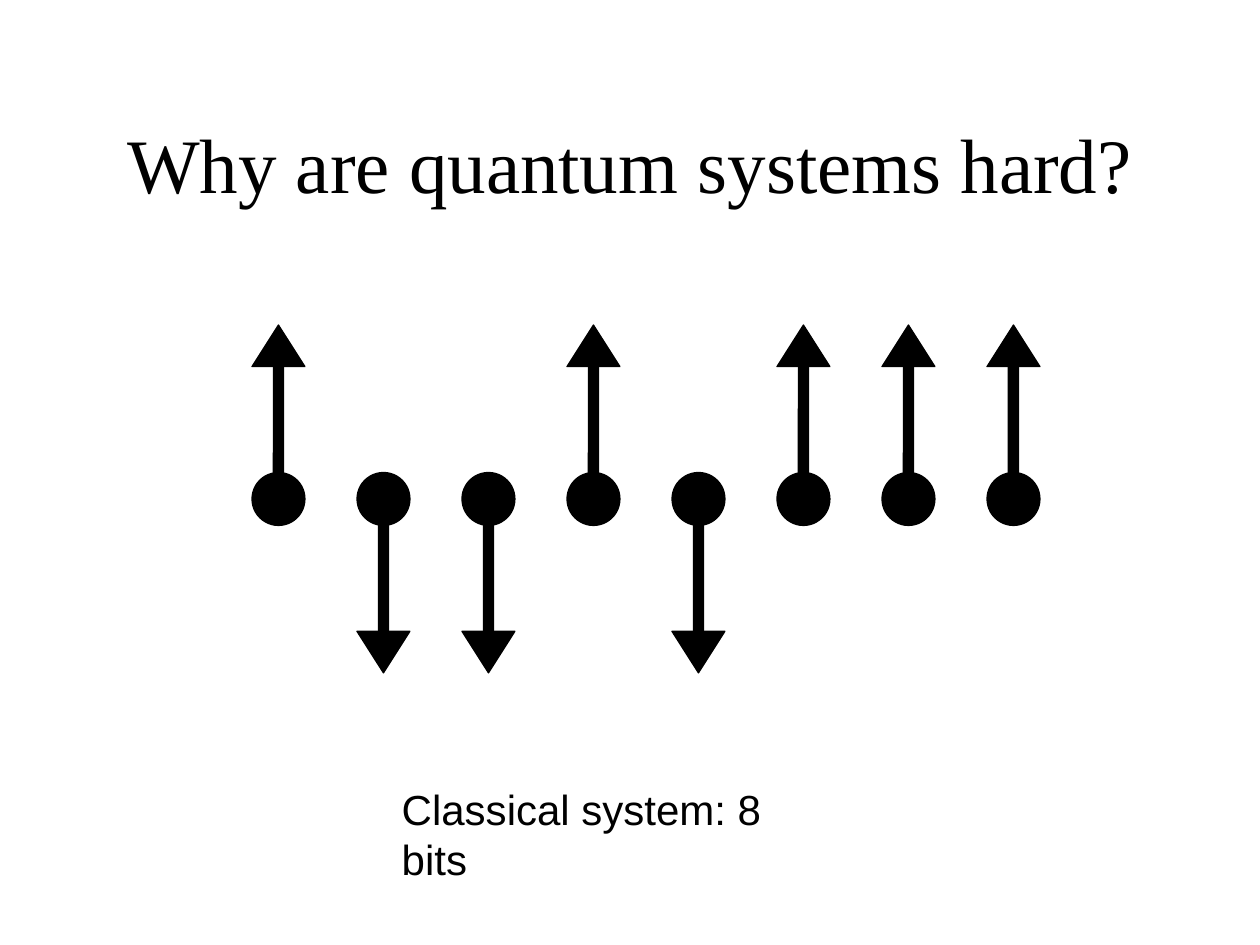
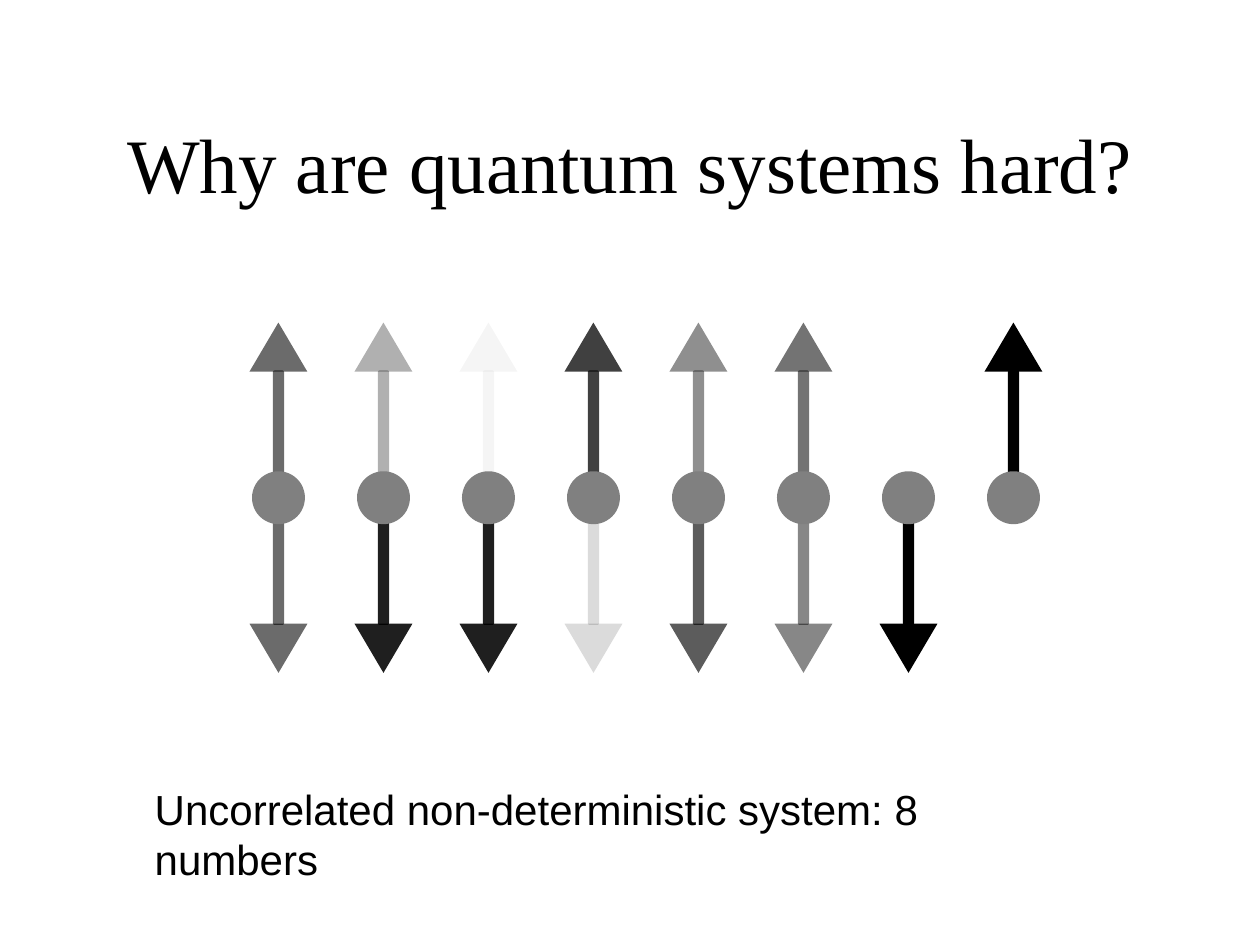
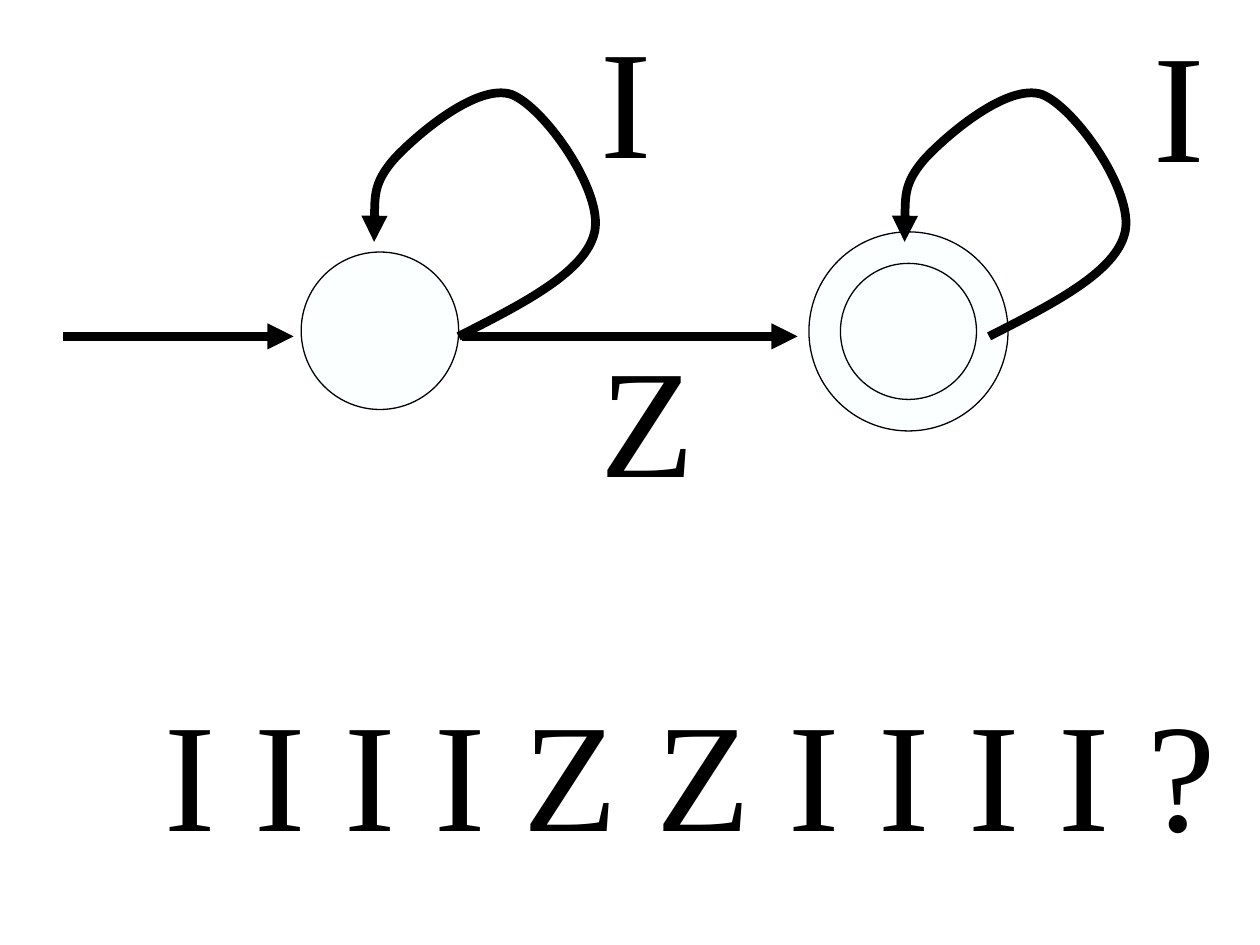
"""Build three slides on spin systems and a two-state automaton."""
from lxml.etree import SubElement
from pptx import Presentation
from pptx.dml.color import RGBColor
from pptx.enum.shapes import MSO_CONNECTOR, MSO_SHAPE
from pptx.enum.text import MSO_ANCHOR, PP_ALIGN
from pptx.oxml.ns import qn
from pptx.util import Inches, Pt

BLACK, GREY, STATE_FILL = "000000", "808080", "FCFFFF"
SERIF, SANS = "Times New Roman", "Arial"
TITLE = "Why are quantum systems hard?"
TITLE_BOX = (0.75, 0.67, 8.5, 1.25)
FIRST_SPIN_X, SPIN_PITCH, DOT_SIZE = 2.21, 5 / 6, 0.42

# Each spin is (opacity of the up arrow, opacity of the down arrow) in percent.
UP, DOWN = (100, 0), (0, 100)
SPIN_SLIDES = [
    {"caption": "Classical system: 8 bits", "caption_box": (3.09, 6.17, 3.66, 0.5),
     "spins": [UP, DOWN, DOWN, UP, DOWN, UP, UP, UP],
     "axis": 3.96, "dot": BLACK, "outline": 0.75,
     "head": (0.42, 0.33), "tip": 1.38, "shaft": (0.08, 1.08)},
    {"caption": "Uncorrelated non-deterministic system: 8 numbers",
     "caption_box": (1.13, 6.17, 7.64, 0.5),
     "spins": [(58, 58), (31, 88), (4, 88), (75, 14), (44, 64), (55, 47), DOWN, UP],
     "axis": 3.95, "dot": GREY, "outline": 0,
     "head": (0.46, 0.39), "tip": 1.39, "shaft": (0.09, 0.97)},
]
SHAFT_GAP = 0.04

STATES = [(6.42, 1.84, 1.58), (2.39, 2, 1.25), (6.67, 2.09, 1.08)]
ARROWS_Y = 2.67
ARROWS = [(3.67, 6.33), (0.5, 2.33)]
LOOP = [(3.64, 2.67), (4.15, 2.41), (4.65, 2.16), (4.72, 1.84), (4.79, 1.52),
        (4.32, 0.85), (4.06, 0.75), (3.79, 0.66), (3.32, 1.06), (3.14, 1.25),
        (2.96, 1.45), (2.97, 1.68), (2.97, 1.92)]
LOOP_SHIFTS = [0, 4.21]
SYMBOLS = [
    ("I", (4.67, -0.01, 0.6, 1.57)),
    ("I", (9.06, 0.02, 0.6, 1.57)),
    ("Z", (4.67, 2.52, 0.94, 1.57)),
    ("I I I I Z Z I I I I ?", (1.21, 5.33, 8.54, 1.57)),
]


def rgb(color):
    """Turn a hex string into a colour."""
    return RGBColor.from_string(color)


def inches(values):
    """Convert several lengths to inches."""
    return [Inches(value) for value in values]


def write(frame, text, size, font):
    """Put one styled line of text in a frame."""
    frame.text = text
    style = frame.paragraphs[0].runs[0].font
    style.size, style.name = Pt(size), font
    style.color.rgb = rgb(BLACK)


def add_label(slide, text, box, size, font):
    """Add an unwrapped text box."""
    frame = slide.shapes.add_textbox(*inches(box)).text_frame
    frame.word_wrap = False
    write(frame, text, size, font)


def add_title(slide):
    """Fill and place the title."""
    title = slide.shapes.title
    title.left, title.top, title.width, title.height = inches(TITLE_BOX)
    write(title.text_frame, TITLE, 44, SERIF)
    title.text_frame.vertical_anchor = MSO_ANCHOR.MIDDLE
    title.text_frame.paragraphs[0].alignment = PP_ALIGN.CENTER


def add_solid(slide, kind, box, color, outline=0, opacity=100):
    """Add a filled preset shape, outlined in black if a width is given."""
    solid = slide.shapes.add_shape(kind, *inches(box))
    solid.shadow.inherit = False
    solid.fill.solid()
    solid.fill.fore_color.rgb = rgb(color)
    if opacity < 100:
        tint = next(solid.element.spPr.iter(qn("a:srgbClr")))
        SubElement(tint, qn("a:alpha"), val=str(opacity * 1000))
    if outline:
        solid.line.color.rgb = rgb(BLACK)
        solid.line.width = Pt(outline)
    else:
        solid.line.fill.background()
    return solid


def add_spin_arrow(slide, look, x, pointing_up, opacity):
    """Add the head and shaft of one spin arrow, mirrored about the axis."""
    parts = [(MSO_SHAPE.ISOSCELES_TRIANGLE, look["head"], look["tip"]),
             (MSO_SHAPE.ROUNDED_RECTANGLE, look["shaft"], look["shaft"][1] + SHAFT_GAP)]
    for kind, (width, height), reach in parts:
        top = look["axis"] - reach if pointing_up else look["axis"] + reach - height
        part = add_solid(slide, kind, (x - width / 2, top, width, height),
                         BLACK, look["outline"], opacity)
        if not pointing_up:
            part.rotation = 180


def add_spin_slide(deck, look):
    """Add a slide with a row of spins and a caption."""
    slide = deck.slides.add_slide(deck.slide_layouts[5])
    add_title(slide)
    for index, opacities in enumerate(look["spins"]):
        x = FIRST_SPIN_X + index * SPIN_PITCH
        for pointing_up, opacity in zip((True, False), opacities):
            if opacity:
                add_spin_arrow(slide, look, x, pointing_up, opacity)
        dot_box = (x - DOT_SIZE / 2, look["axis"] - DOT_SIZE / 2, DOT_SIZE, DOT_SIZE)
        add_solid(slide, MSO_SHAPE.OVAL, dot_box, look["dot"], look["outline"])
    add_label(slide, look["caption"], look["caption_box"], 24, SANS)


def style_transition(transition):
    """Give a line its weight and arrowhead."""
    transition.line.color.rgb = rgb(BLACK)
    transition.line.width = Pt(5)
    SubElement(transition.element.spPr.find(qn("a:ln")), qn("a:tailEnd"), type="triangle")


def add_loop(slide, shift):
    """Add a curved arrow from a state back to itself."""
    start, *controls = [(Inches(x + shift), Inches(y)) for x, y in LOOP]
    builder = slide.shapes.build_freeform(*start)
    loop = builder.add_line_segments(controls, close=False).convert_to_shape()
    segments = list(loop.element.spPr.iter(qn("a:lnTo")))
    outline = segments[0].getparent()
    for first in range(0, len(segments), 3):
        curve = SubElement(outline, qn("a:cubicBezTo"))
        for segment in segments[first:first + 3]:
            curve.append(segment[0])
            outline.remove(segment)
    loop.shadow.inherit = False
    loop.fill.background()
    style_transition(loop)


def add_automaton_slide(deck):
    """Add the automaton with its input string."""
    slide = deck.slides.add_slide(deck.slide_layouts[6])
    for left, top, size in STATES:
        add_solid(slide, MSO_SHAPE.OVAL, (left, top, size, size), STATE_FILL, 0.75)
    for start, end in ARROWS:
        arrow = slide.shapes.add_connector(
            MSO_CONNECTOR.STRAIGHT, *inches((start, ARROWS_Y, end, ARROWS_Y)))
        style_transition(arrow)
        SubElement(arrow.element.spPr, qn("a:effectLst"))
    for shift in LOOP_SHIFTS:
        add_loop(slide, shift)
    for symbol, box in SYMBOLS:
        add_label(slide, symbol, box, 88, SERIF)


def main():
    """Build and save the deck."""
    deck = Presentation()
    deck.slide_width, deck.slide_height = Inches(10), Inches(7.5)
    for look in SPIN_SLIDES:
        add_spin_slide(deck, look)
    add_automaton_slide(deck)
    deck.save("out.pptx")


if __name__ == "__main__":
    main()
